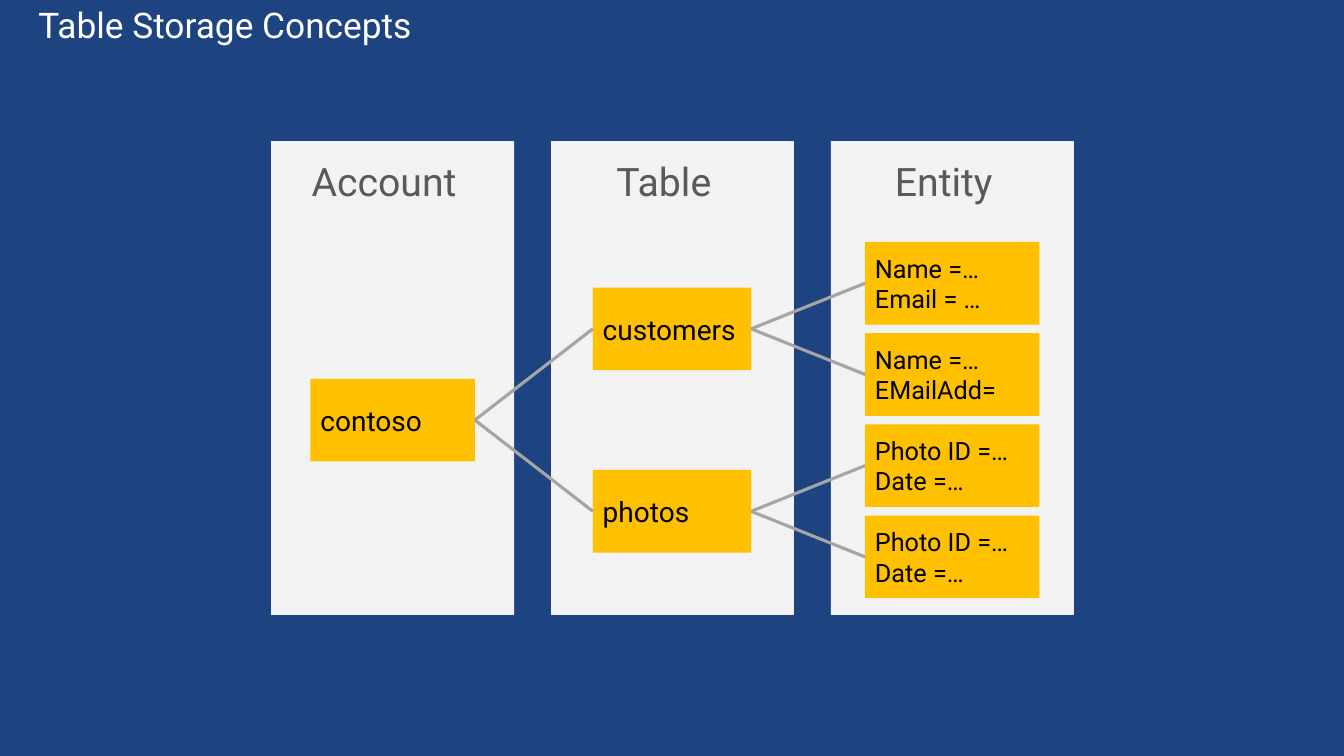
"""Build the slide that explains the table storage concepts."""
import pptx
import pptx.dml.color
import pptx.enum.shapes
import pptx.enum.text
import pptx.oxml.ns
import pptx.util
from lxml import etree

Inches = pptx.util.Inches
Align = pptx.enum.text.PP_ALIGN
Anchor = pptx.enum.text.MSO_ANCHOR

COLOURS = {
    "background": "1D4380",
    "title": "FFFFFF",
    "panel": "F2F2F2",
    "heading": "595959",
    "node": "FFC000",
    "node text": "000000",
    "link": "A5A5A5",
}
FONT = "Roboto"
HEADINGS = ["Account", "Table", "Entity"]
PANEL_LEFT, PANEL_STEP, PANEL_TOP = 2.69, 2.775, 1.4
PANEL_WIDTH, PANEL_HEIGHT = 2.41, 4.7
ROW_TOP, ROW_STEP, NODE_HEIGHT = 2.4, 0.905, 0.82
LEVELS = [
    {"left": 3.08, "width": 1.63, "size": 20},
    {"left": 5.88, "width": 1.57, "size": 20},
    {"left": 8.58, "width": 1.73, "size": 18},
]
TREE = ("contoso", 1.5, [
    ("customers", 0.5, [
        ("Name =…\nEmail = …", 0, []),
        ("Name =…\nEMailAdd=", 1, []),
    ]),
    ("photos", 2.5, [
        ("Photo ID =…\nDate =…", 2, []),
        ("Photo ID =…\nDate =…", 3, []),
    ]),
])


def colour(name):
    """Return the named colour of the slide."""
    return pptx.dml.color.RGBColor.from_string(COLOURS[name])


def write_text(box, text, *, size, ink, align=Align.LEFT, anchor=Anchor.MIDDLE,
               insets=(0.1, 0.05, 0.1, 0.05), spacing=1.0):
    """Write each line of text as a formatted paragraph in the box."""
    frame = box.text_frame
    frame.word_wrap = True
    frame.vertical_anchor = anchor
    (frame.margin_left, frame.margin_top,
     frame.margin_right, frame.margin_bottom) = map(Inches, insets)
    frame.text = text
    for para in frame.paragraphs:
        para.alignment = align
        para.line_spacing = spacing
        for span in para.runs:
            span.font.name = FONT
            span.font.size = pptx.util.Pt(size)
            span.font.color.rgb = colour(ink)


def add_text(page, text, left, top, width, height, **text_format):
    """Add a text box with formatted text."""
    box = page.shapes.add_textbox(*map(Inches, (left, top, width, height)))
    write_text(box, text, **text_format)


def add_rectangle(page, left, top, width, height, fill):
    """Add a plain filled rectangle and return it."""
    box = page.shapes.add_shape(
        pptx.enum.shapes.MSO_SHAPE.RECTANGLE,
        *map(Inches, (left, top, width, height)))
    box.shadow.inherit = False
    box.fill.solid()
    box.fill.fore_color.rgb = colour(fill)
    box.line.fill.background()
    return box


def add_panel(page, heading, left):
    """Add a column panel with its heading."""
    add_rectangle(page, left, PANEL_TOP, PANEL_WIDTH, PANEL_HEIGHT, "panel")
    add_text(page, heading, left, PANEL_TOP, PANEL_WIDTH, 1.57,
             size=28, ink="heading", align=Align.CENTER, anchor=Anchor.TOP,
             insets=(0.1, 0.27, 0.27, 0.27), spacing=0.9)


def add_link(page, parent, child):
    """Join the right side of the parent to the left side of the child."""
    link = page.shapes.add_connector(
        pptx.enum.shapes.MSO_CONNECTOR.STRAIGHT, 0, 0, 0, 0)
    link.begin_connect(parent, 3)
    link.end_connect(child, 1)
    link.line.color.rgb = colour("link")
    link.line.width = pptx.util.Pt(2.25)
    etree.SubElement(link._element.spPr, pptx.oxml.ns.qn("a:effectLst"))


def add_branch(page, branch, depth=0):
    """Add a node with all its descendants and return the node."""
    text, row, children = branch
    level = LEVELS[depth]
    node = add_rectangle(page, level["left"], ROW_TOP + row * ROW_STEP,
                         level["width"], NODE_HEIGHT, "node")
    write_text(node, text, size=level["size"], ink="node text")
    for child in children:
        add_link(page, node, add_branch(page, child, depth + 1))
    return node


def main():
    """Build and save the deck."""
    deck = pptx.Presentation()
    deck.slide_width, deck.slide_height = Inches(13.33), Inches(7.5)
    page = deck.slides.add_slide(deck.slide_layouts[6])
    page.background.fill.solid()
    page.background.fill.fore_color.rgb = colour("background")
    add_text(page, "Table Storage Concepts", 0, 0, 13.33, 0.89,
             size=25.2, ink="title", anchor=Anchor.TOP,
             insets=(0.38, 0.08, 0.1, 0.05), spacing=0.9)
    for index, heading in enumerate(HEADINGS):
        add_panel(page, heading, PANEL_LEFT + index * PANEL_STEP)
    add_branch(page, TREE)
    deck.save("out.pptx")


main()
